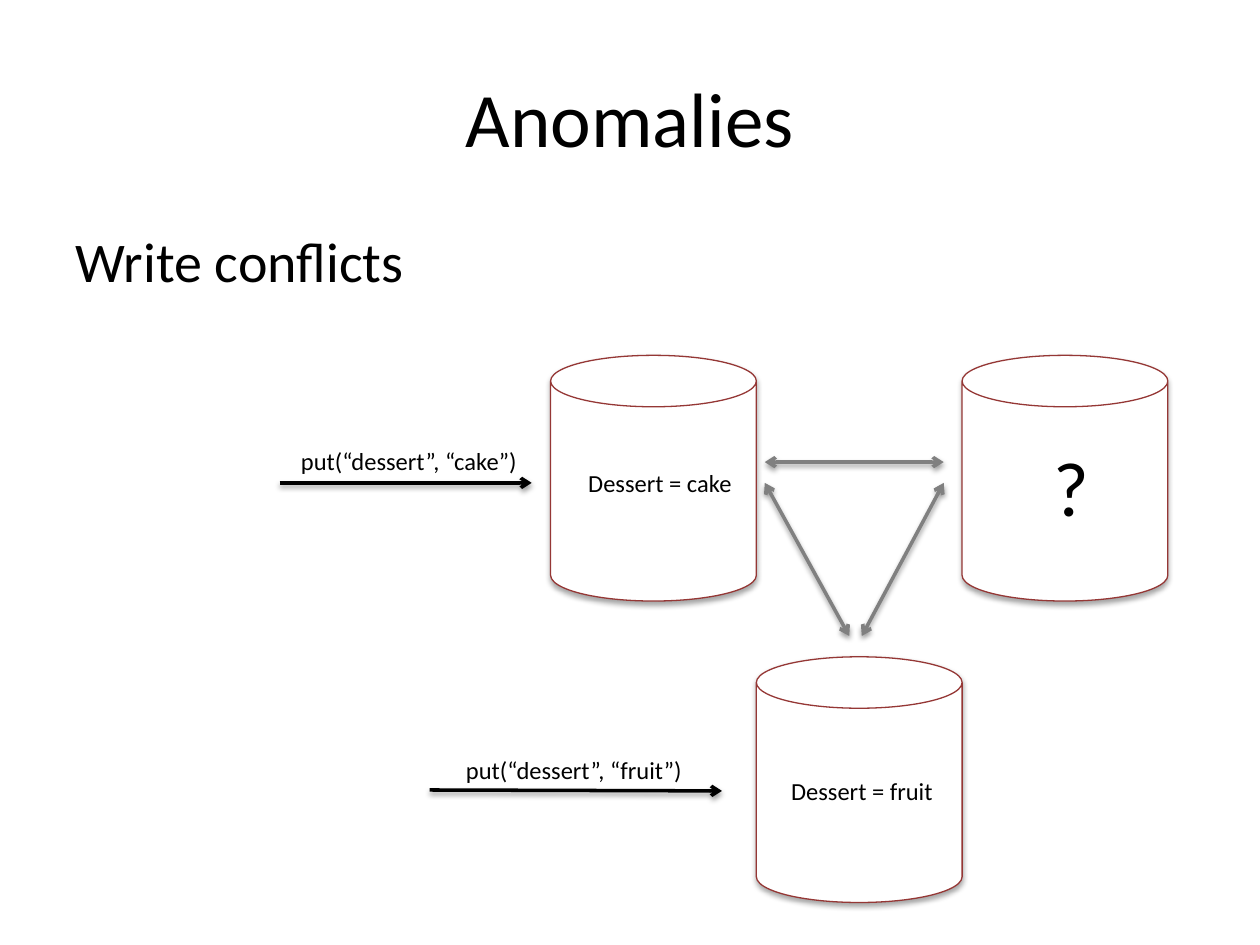
"""Build the Anomalies slide: write conflicts between three replicas."""
from lxml.etree import SubElement
from pptx import Presentation
from pptx.dml.color import RGBColor
from pptx.enum.shapes import MSO_CONNECTOR, MSO_SHAPE
from pptx.enum.text import MSO_ANCHOR, MSO_AUTO_SIZE, PP_ALIGN
from pptx.oxml.ns import qn
from pptx.util import Inches, Pt

THEME = {
    "ink": RGBColor.from_string("000000"),
    "paper": RGBColor.from_string("FFFFFF"),
    "edge": RGBColor.from_string("953735"),
    "sync": RGBColor.from_string("808080"),
    "font": "Calibri",
    "title": Pt(44),
    "body": Pt(32),
    "label": Pt(14),
    "thin": Pt(0.75),
    "thick": Pt(2),
}

deck = Presentation()
deck.slide_width, deck.slide_height = Inches(10), Inches(7.5)
col, row = deck.slide_width / 100, deck.slide_height / 100
slide = deck.slides.add_slide(deck.slide_layouts[1])
shapes = slide.shapes


def write(box, text, size, align):
    para = box.text_frame.paragraphs[0]
    para.text = text
    para.alignment = align
    look = {"name": THEME["font"], "size": THEME[size], "bold": False}
    for key, value in look.items():
        setattr(para.font, key, value)
    para.font.color.rgb = THEME["ink"]
    return para


def shade(shape, alpha, dist):
    props = shape._element.spPr
    effects = SubElement(props, qn("a:effectLst"))
    glow = SubElement(effects, qn("a:outerShdw"), blurRad=str(Pt(3.1)),
                      dist=str(Pt(dist)), dir="5400000", rotWithShape="0")
    tint = SubElement(glow, qn("a:srgbClr"), val="000000")
    SubElement(tint, qn("a:alpha"), val=str(alpha * 1000))


title, body = shapes.title, slide.placeholders[1]
for box, top, high in ((title, 4, 16.7), (body, 23.3, 10.4)):
    place = {"left": 5 * col, "top": top * row,
             "width": 90 * col, "height": high * row}
    for key, value in place.items():
        setattr(box, key, int(value))
title.text_frame.vertical_anchor = MSO_ANCHOR.MIDDLE
write(title, "Anomalies", "title", PP_ALIGN.CENTER)

props = body.text_frame.paragraphs[0]._p.get_or_add_pPr()
props.set("marL", "0")
props.set("indent", "0")
SubElement(props, qn("a:buNone"))
lead = write(body, "Write conflicts", "body", PP_ALIGN.LEFT)
lead.space_before = Pt(0)

wide, tall = 16.33, 26
for step, top in enumerate((37.6, 69.5, 37.6)):
    can = shapes.add_shape(
        MSO_SHAPE.CAN, int((43.7 + step * wide) * col), int(top * row),
        int(wide * col), int(tall * row))
    can.fill.solid()
    can.fill.fore_color.rgb = THEME["paper"]
    can.line.color.rgb = THEME["edge"]
    can.line.width = THEME["thin"]
    shade(can, 35, 1.8)

links, call = shapes.add_group_shape(), shapes.add_group_shape()
both, one = ("headEnd", "tailEnd"), ("tailEnd",)
arrows = (
    (links, 60.7, 48.9, 74.9, 48.9, "sync", both),
    (links, 60.7, 51.1, 67.4, 67.3, "sync", both),
    (links, 74.9, 51.1, 68.4, 67.3, "sync", both),
    (call, 22.2, 51.1, 42.2, 51.1, "ink", one),
    (slide, 34.1, 83.6, 57.3, 83.7, "ink", one),
)
for home, x1, y1, x2, y2, hue, ends in arrows:
    line = home.shapes.add_connector(
        MSO_CONNECTOR.STRAIGHT, int(x1 * col), int(y1 * row),
        int(x2 * col), int(y2 * row))
    line.line.color.rgb = THEME[hue]
    line.line.width = THEME["thick"]
    for end in ends:
        SubElement(line.line._get_or_add_ln(), qn(f"a:{end}"), type="arrow")
    shade(line, 38, 1.6)

labels = (
    (call, "put(“dessert”, “cake”)", 22.9, 46.5, 19.7, 4.5, "label"),
    (slide, "Dessert = cake", 45.7, 48.9, 13.6, 4.5, "label"),
    (slide, "Dessert = fruit", 61.8, 81.5, 13.3, 4.5, "label"),
    (slide, "put(“dessert”, “fruit”)", 36, 79.2, 19.4, 4.5, "label"),
    (slide, "?", 82.6, 45.9, 4.9, 11.2, "title"),
)
for home, text, left, top, width, high, size in labels:
    box = home.shapes.add_textbox(int(left * col), int(top * row),
                                  int(width * col), int(high * row))
    frame = {"word_wrap": False, "auto_size": MSO_AUTO_SIZE.SHAPE_TO_FIT_TEXT}
    for key, value in frame.items():
        setattr(box.text_frame, key, value)
    write(box, text, size, PP_ALIGN.LEFT)

deck.save("out.pptx")
